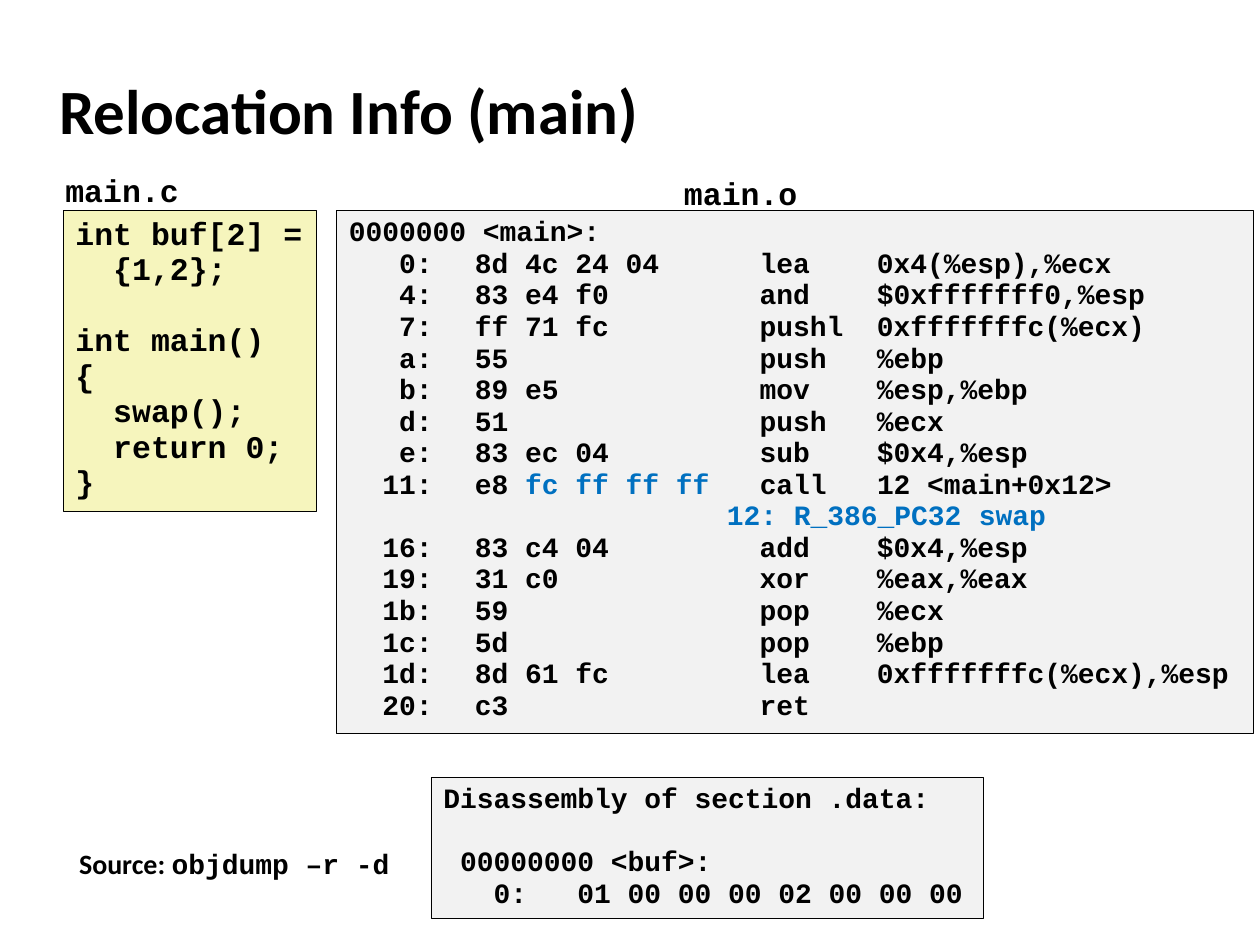
from lxml import etree
from pptx import Presentation, util as u
from pptx.dml.color import RGBColor
from pptx.enum import shapes, text
from pptx.oxml.ns import qn

BLACK, BLUE, YELLOW, GREY = "000000", "0070C0", "F6F5BD", "F2F2F2"
CODE, SANS = "Courier New", "Calibri"

TITLE = "Relocation Info (main)"
SOURCE_CODE = ["int buf[2] =", "  {1,2};", " ", "int main()", "{",
               "  swap();", "  return 0;", "}"]
DATA_SECTION = ["Disassembly of section .data:", " ", " 00000000 <buf>:",
                "   0:   01 00 00 00 02 00 00 00"]
DISASSEMBLY = [
    "0000000 <main>:",
    "   0:\t8d 4c 24 04      lea    0x4(%esp),%ecx",
    "   4:\t83 e4 f0         and    $0xfffffff0,%esp",
    "   7:\tff 71 fc         pushl  0xfffffffc(%ecx)",
    "   a:\t55               push   %ebp",
    "   b:\t89 e5            mov    %esp,%ebp",
    "   d:\t51               push   %ecx",
    "   e:\t83 ec 04         sub    $0x4,%esp",
    [("  11:\te8 ", CODE, BLACK), ("fc ff ff ff   ", CODE, BLUE),
     ("call   12 <main+0x12>", CODE, BLACK)],
    [("\t\t\t12: R_386_PC32\tswap", CODE, BLUE)],
    "  16:\t83 c4 04         add    $0x4,%esp",
    "  19:\t31 c0            xor    %eax,%eax",
    "  1b:\t59               pop    %ecx",
    "  1c:\t5d               pop    %ebp",
    "  1d:\t8d 61 fc         lea    0xfffffffc(%ecx),%esp",
    "  20:\tc3               ret",
]
COMMAND = [[("Source: ", SANS, BLACK), ("objdump –r -d", CODE, BLACK)]]

PANELS = [
    (SOURCE_CODE, (0.5, 1.67, 2.01, 2.39), YELLOW, 18),
    (DATA_SECTION, (3.42, 6.17, 4.38, 1.12), GREY, 16),
    (DISASSEMBLY, (2.67, 1.67, 7.28, 4.15), GREY, 16),
]
LABELS = [
    (COMMAND, (0.53, 6.68, 2.7, 0.37), 16, 0.98),
    (["main.c"], (0.42, 1.31, 1.11, 0.4), 18, 1.0),
    (["main.o"], (5.33, 1.33, 1.11, 0.4), 18, 1.0),
]


def color(value):
    return RGBColor.from_string(value)


def inches(place):
    return [u.Inches(value) for value in place]


def add_tabs(para):
    tabs = etree.SubElement(para._p.get_or_add_pPr(), qn("a:tabLst"))
    for inch in range(8):
        etree.SubElement(tabs, qn("a:tab"), pos=str(u.Inches(inch)), algn="l")


def write(frame, lines, size, spacing):
    for index, line in enumerate(lines):
        para = frame.add_paragraph() if index else frame.paragraphs[0]
        para.alignment = text.PP_ALIGN.LEFT
        para.line_spacing = spacing
        add_tabs(para)
        spans = [(line, CODE, BLACK)] if isinstance(line, str) else line
        for words, font, ink in spans:
            span = para.add_run()
            span.text = words
            span.font.name = font
            span.font.size = u.Pt(size)
            span.font.bold = True
            span.font.color.rgb = color(ink)


def fit(frame):
    frame.word_wrap = False
    frame.auto_size = text.MSO_AUTO_SIZE.SHAPE_TO_FIT_TEXT
    frame.vertical_anchor = text.MSO_ANCHOR.TOP


def add_panel(page, lines, place, fill, size):
    panel = page.shapes.add_shape(shapes.MSO_SHAPE.RECTANGLE, *inches(place))
    panel.shadow.inherit = False
    panel.fill.solid()
    panel.fill.fore_color.rgb = color(fill)
    panel.line.color.rgb = color(BLACK)
    panel.line.width = u.Pt(0.25)
    fit(panel.text_frame)
    write(panel.text_frame, lines, size, 0.94)


def add_label(page, lines, place, size, spacing):
    label = page.shapes.add_textbox(*inches(place))
    fit(label.text_frame)
    write(label.text_frame, lines, size, spacing)


def add_title(page):
    title = page.shapes.title
    title.left, title.top, title.width, title.height = inches((0.37, 0.49, 9.53, 0.86))
    title.text_frame.vertical_anchor = text.MSO_ANCHOR.MIDDLE
    write(title.text_frame, [[(TITLE, SANS, BLACK)]], 36, 0.82)
    properties = title.text_frame.paragraphs[0]._p.get_or_add_pPr()
    properties.set("marL", str(u.Inches(0.13)))
    properties.set("indent", str(u.Inches(-0.13)))


def main():
    deck = Presentation()
    deck.slide_width, deck.slide_height = inches((10, 7.5))
    page = deck.slides.add_slide(deck.slide_layouts[5])
    add_title(page)
    for panel in PANELS:
        add_panel(page, *panel)
    for label in LABELS:
        add_label(page, *label)
    deck.save("out.pptx")


if __name__ == "__main__":
    main()
